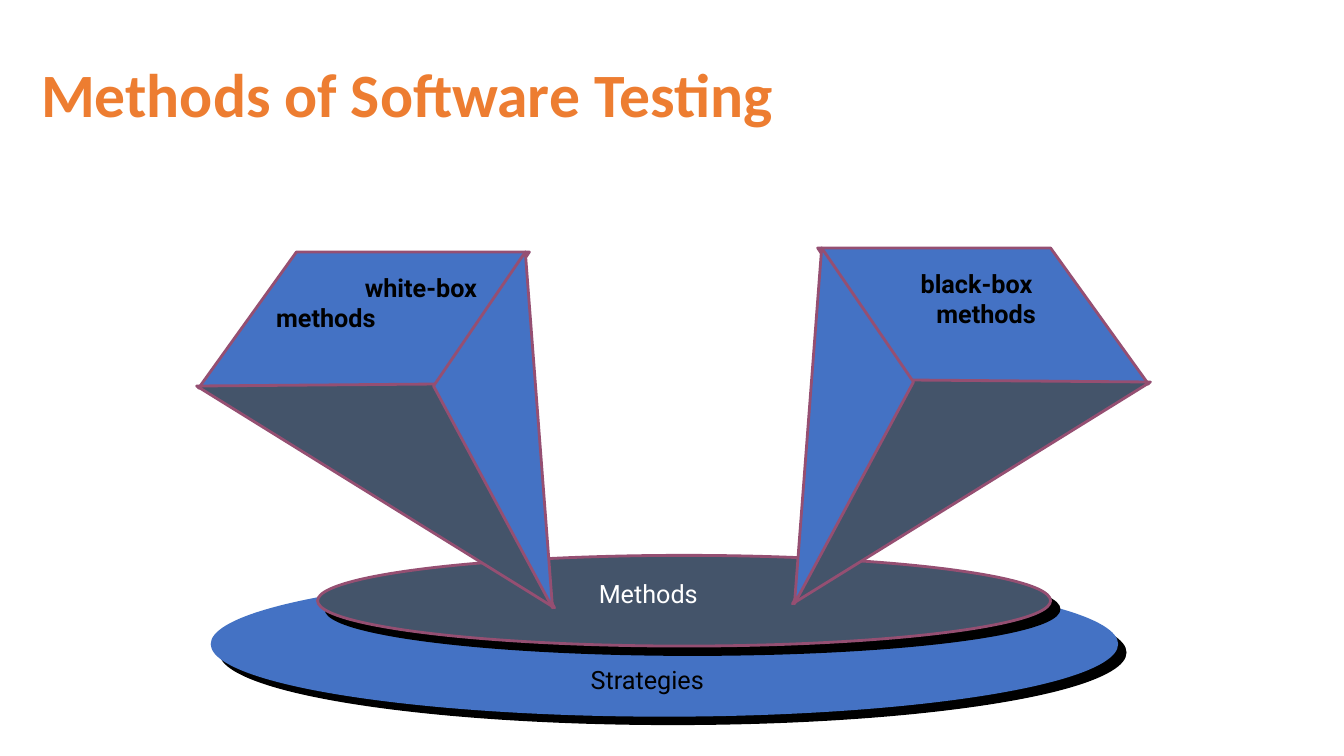
from lxml import etree
from pptx import Presentation
from pptx import util as u
from pptx.dml.color import RGBColor
from pptx.enum import shapes, text
from pptx.oxml.ns import qn

ORANGE = RGBColor(0xED, 0x7D, 0x31)
BLUE = RGBColor(0x44, 0x72, 0xC4)
SLATE = RGBColor(0x44, 0x54, 0x6A)
PLUM = RGBColor(0x95, 0x4F, 0x72)
BLACK = RGBColor(0, 0, 0)
WHITE = RGBColor(255, 255, 255)
MIRROR_SUM = 13.36
MIRROR_RISE = 0.04


def paint(shape, fill, line):
    shape.shadow.inherit = False
    shape.fill.solid()
    shape.fill.fore_color.rgb = fill
    if line is None:
        shape.line.fill.background()
    else:
        shape.line.color.rgb = line
        shape.line.width = u.Pt(2)


def add_label(slide, box, lines, font_format, color, anchor=text.MSO_ANCHOR.TOP):
    shape = slide.shapes.add_textbox(*map(u.Inches, box))
    frame = shape.text_frame
    frame.word_wrap = True
    frame.vertical_anchor = anchor
    for index, (words, alignment, indent) in enumerate(lines):
        paragraph = frame.add_paragraph() if index else frame.paragraphs[0]
        paragraph.text = words
        paragraph.alignment = alignment
        if indent:
            paragraph._p.get_or_add_pPr().set("marL", str(u.Inches(indent)))
        for name, value in font_format.items():
            setattr(paragraph.font, name, value)
        paragraph.font.color.rgb = color
    return frame


presentation = Presentation()
presentation.slide_width = u.Inches(13.33)
presentation.slide_height = u.Inches(7.5)
slide = presentation.slides.add_slide(presentation.slide_layouts[6])

LEFT, CENTER, RIGHT = text.PP_ALIGN.LEFT, text.PP_ALIGN.CENTER, text.PP_ALIGN.RIGHT
title_format = {"name": "Calibri", "size": u.Pt(44), "bold": True}
plain_format = {"name": "Roboto", "size": u.Pt(18), "bold": False}
bold_format = {**plain_format, "bold": True}

title = add_label(slide, (0.31, 0.39, 12.57, 1.15),
                  [("Methods of Software Testing", LEFT, 0)],
                  title_format, ORANGE, text.MSO_ANCHOR.MIDDLE)
title.paragraphs[0].line_spacing = 0.9

ellipses = [
    ((2.09, 5.67, 9, 1.44), BLUE, None),
    ((3.15, 5.51, 7.27, 0.9), SLATE, PLUM),
]
for box, fill, line in ellipses:
    ellipse = slide.shapes.add_shape(shapes.MSO_SHAPE.OVAL, *map(u.Inches, box))
    paint(ellipse, fill, line)
    effects = ellipse._element.spPr.find(qn("a:effectLst"))
    shadow = etree.SubElement(effects, qn("a:outerShdw"), dist=str(u.Pt(8.5)),
                              dir="2700000", algn="ctr", rotWithShape="0")
    etree.SubElement(shadow, qn("a:srgbClr"), val=str(BLACK))

white_box_faces = [
    (BLUE, [(5.25, 2.5), (2.94, 2.5), (1.97, 3.85), (4.34, 3.85)]),
    (SLATE, [(1.95, 3.83), (5.5, 6.03), (4.3, 3.81)]),
    (BLUE, [(5.48, 6.03), (4.3, 3.83), (5.21, 2.5)]),
]
for mirrored in (False, True):
    for fill, corners in white_box_faces:
        if mirrored:
            corners = [(MIRROR_SUM - x, y - MIRROR_RISE) for x, y in corners]
        points = [(u.Inches(x), u.Inches(y)) for x, y in corners]
        builder = slide.shapes.build_freeform(*points[0])
        builder.add_line_segments(points[1:], close=True)
        paint(builder.convert_to_shape(), fill, PLUM)

labels = [
    ((5.84, 5.69, 1.69, 0.57), [("Methods", LEFT, 0)], plain_format, WHITE),
    ((5.76, 6.54, 1.93, 0.57), [("Strategies", LEFT, 0)], plain_format, BLACK),
    ((2.64, 2.65, 2.19, 1.01),
     [("white-box", RIGHT, 0), ("methods", LEFT, 0)], bold_format, BLACK),
    ((8.59, 2.61, 2.19, 1.01),
     [("black-box", CENTER, 0), ("methods", CENTER, 0.19)], bold_format, BLACK),
]
for label in labels:
    add_label(slide, *label)

presentation.save("out.pptx")
